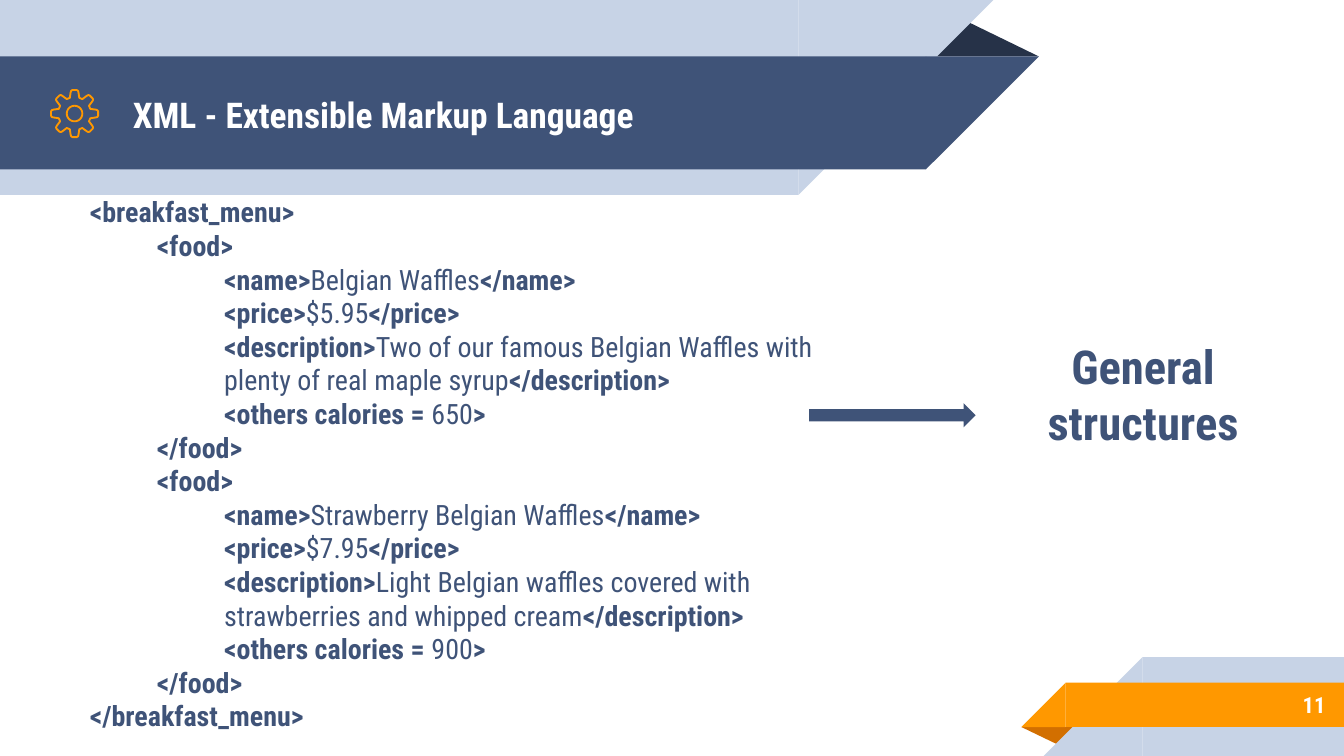
from math import cos, pi, sin

from pptx import Presentation
from pptx.dml.color import RGBColor
from pptx.enum.shapes import MSO_SHAPE as Shape
from pptx.enum.text import MSO_ANCHOR as Anchor, PP_ALIGN as Align
from pptx.oxml.ns import qn
from pptx.util import Inches, Pt

NAVY, DARK, PALE = "3F5378", "263248", "C7D3E6"
ORANGE, RUST, WHITE = "FF9800", "D26F00", "FFFFFF"


def color(value):
    return RGBColor.from_string(value)


class Deck:
    """Style and current slide; lengths are cells of a 100-column grid."""

    FONT = "Roboto Condensed"
    COLUMNS = 100

    def __init__(self, width, height):
        self.prs = Presentation()
        self.prs.slide_width, self.prs.slide_height = Inches(width), Inches(height)
        self.cell = self.prs.slide_width / self.COLUMNS
        self.slide = self.prs.slides.add_slide(self.prs.slide_layouts[6])

    def grid(self, *cells):
        return [round(c * self.cell) for c in cells]

    def shape(self, kind, box, fill, rotation=0, flip=False, adjust=None):
        sp = self.slide.shapes.add_shape(kind, *self.grid(*box))
        sp.shadow.inherit = False
        sp.fill.solid()
        sp.fill.fore_color.rgb = color(fill)
        sp.line.fill.background()
        sp.rotation = rotation
        if flip:
            sp._element.spPr.find(qn("a:xfrm")).set("flipH", "1")
        if adjust is not None:
            sp.adjustments[0] = adjust
        return sp

    def outline(self, contours, line, width):
        """Unfilled freeform made of closed contours."""
        first, *others = [[self.grid(*pt) for pt in c] for c in contours]
        builder = self.slide.shapes.build_freeform(*first[0])
        builder.add_line_segments(first[1:])
        for contour in others:
            builder.move_to(*contour[0])
            builder.add_line_segments(contour[1:])
        sp = builder.convert_to_shape()
        sp.shadow.inherit = False
        sp.fill.background()
        sp.line.color.rgb = color(line)
        sp.line.width = Pt(width)
        return sp

    def text(self, box, lines, size, fill, align=Align.LEFT, before=0, after=0):
        """Each line is (indent level, runs); every second run is regular."""
        tf = self.slide.shapes.add_textbox(*self.grid(*box)).text_frame
        tf.word_wrap = True
        tf.vertical_anchor = Anchor.MIDDLE
        tf.margin_left = tf.margin_right = Inches(0.1)
        tf.margin_top = tf.margin_bottom = Inches(0.1)
        for i, (level, runs) in enumerate(lines):
            p = tf.paragraphs[0] if i == 0 else tf.add_paragraph()
            p.alignment = align
            p.space_before, p.space_after = Pt(before), Pt(after)
            p.font.name, p.font.size = self.FONT, Pt(size)
            p.font.color.rgb = color(fill)
            if level:
                p._p.get_or_add_pPr().set("marL", str(Inches(0.5 * level)))
            for j, words in enumerate(runs):
                r = p.add_run()
                r.text = words
                r.font.bold = j % 2 == 0


def turn(x, y, angle):
    return x * cos(angle) - y * sin(angle), x * sin(angle) + y * cos(angle)


def gear(cx, cy, teeth=8, hole=0.58, steps=32):
    """Rim and hole of a gear, as two closed contours."""
    half = [(0.35, -1.17), (0.29, -1.58), (0.25, -1.7), (0.16, -1.75)]
    tooth = [(-x, y) for x, y in half] + half[::-1]
    rim = [turn(x, y, 2 * pi * k / teeth) for k in range(teeth) for x, y in tooth]
    ring = [turn(0, -hole, 2 * pi * k / steps) for k in range(steps)]
    return [[(cx + x, cy + y) for x, y in c + c[:1]] for c in (rim, ring)]


def food(name, price, description, calories):
    fields = {"name": name, "price": price, "description": description}
    return [
        (1, ["<food>"]),
        *[(2, [f"<{tag}>", value, f"</{tag}>"]) for tag, value in fields.items()],
        (2, ["<others calories = ", calories, ">"]),
        (1, ["</food>"]),
    ]


def main():
    deck = Deck(10, 5.625)

    # Header ribbon: bands ending in a slanted edge
    deck.shape(Shape.ISOSCELES_TRIANGLE, (68.8, 1.4, 8.5, 2.8), DARK, adjust=0.324)
    for top, width, height, fill in [(0, 59.4, 14.5, PALE), (4.2, 68.9, 8.4, NAVY)]:
        deck.shape(Shape.RECTANGLE, (0, top, width, height), fill, 180, True)
        deck.shape(Shape.RIGHT_TRIANGLE, (width, top, height, height), fill, 180, True)

    # Footer ribbon
    deck.shape(Shape.ISOSCELES_TRIANGLE, (76, 54.1, 4.3, 1.4), RUST, 180, adjust=0.324)
    for left, top, height, fill in [(85, 48.9, 7.35, PALE), (79.3, 50.8, 3.3, ORANGE)]:
        deck.shape(Shape.RECTANGLE, (left, top, 100 - left, height), fill, flip=True)
        deck.shape(Shape.RIGHT_TRIANGLE, (left - height, top, height, height),
                   fill, flip=True)

    # Title, page number and gear icon
    deck.text((8.9, 4.3, 63.8, 8.4), [(0, ["XML - Extensible Markup Language"])],
              19, WHITE)
    deck.text((83.3, 50.7, 16.3, 3.5), [(0, ["11"])], 12, WHITE, Align.RIGHT)
    deck.outline(gear(5.55, 8.45), ORANGE, 1)

    # Caption
    deck.text((71.9, 26.2, 26.3, 6.2), [(0, ["General structures"])], 25, NAVY,
              Align.CENTER, before=6, after=10)

    # XML listing
    menu = [
        (0, ["<breakfast_menu>"]),
        *food("Belgian Waffles", "$5.95",
              "Two of our famous Belgian Waffles with plenty of real maple syrup",
              "650"),
        *food("Strawberry Belgian Waffles", "$7.95",
              "Light Belgian waffles covered with strawberries and whipped cream",
              "900"),
        (0, ["</breakfast_menu>"]),
    ]
    deck.text((5.7, 13.5, 59.6, 42), menu, 15, NAVY)

    # Arrow from the listing to the caption
    deck.shape(Shape.RIGHT_ARROW, (60.2, 30, 12.4, 1.8), NAVY)

    deck.prs.save("out.pptx")


if __name__ == "__main__":
    main()
